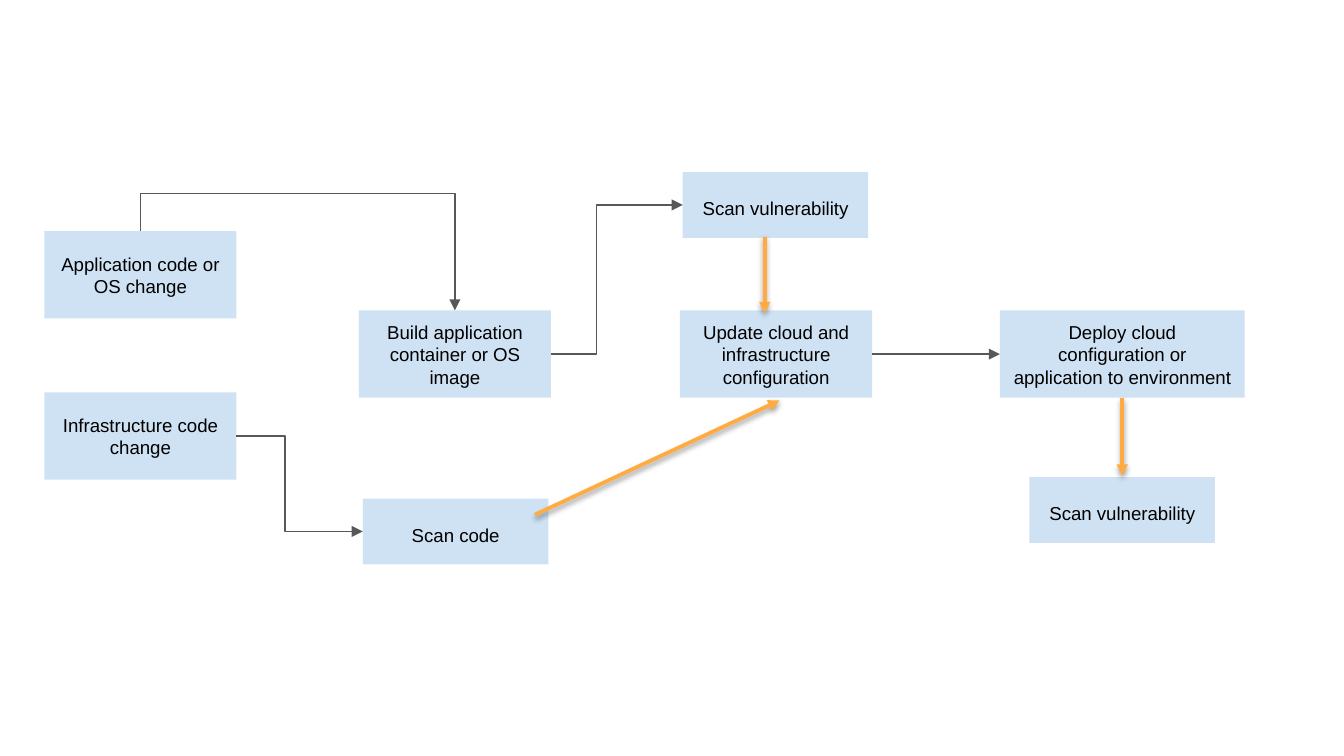
from lxml.etree import SubElement
from pptx import Presentation
from pptx.dml.color import RGBColor
from pptx.enum.shapes import MSO_CONNECTOR, MSO_SHAPE
from pptx.enum.text import MSO_ANCHOR, PP_ALIGN
from pptx.oxml.ns import qn
from pptx.util import Inches, Pt

BLUE = RGBColor(0xCF, 0xE2, 0xF3)
GRAY = RGBColor(0x58, 0x58, 0x58)
ORANGE = RGBColor(0xFF, 0xAB, 0x40)
BLACK = RGBColor(0, 0, 0)

# Content: step -> text, left, top, width, height (inches)
STEP = (1.43, 0.65)
SCAN = (1.38, 0.49)
ROW = 2.31
STEPS = {
    "build": ("Build application container or OS image", 2.67, ROW, *STEP),
    "deploy": ("Deploy cloud configuration or application to environment",
               7.44, ROW, 1.82, STEP[1]),
    "update": ("Update cloud and infrastructure configuration", 5.06, ROW, *STEP),
    "application": ("Application code or OS change", 0.33, 1.72, *STEP),
    "infrastructure": ("Infrastructure code change", 0.33, 2.92, *STEP),
    "scan code": ("Scan code", 2.7, 3.71, *SCAN),
    "scan image": ("Scan vulnerability", 5.08, 1.28, *SCAN),
    "scan deployed": ("Scan vulnerability", 7.66, 3.55, *SCAN),
}
# Sideways elbows: start, end, x of the bend
ELBOWS = [("infrastructure", "scan code", 2.12), ("build", "scan image", 4.44)]
ROOF = 1.44  # height of the arrow that goes over the top
SCAN_ARROWS = [
    ((5.69, 1.76), (5.69, 2.33)),
    ((3.98, 3.83), (5.8, 2.98)),
    ((8.35, 2.96), (8.35, 3.54)),
]


def side(name, across, down):
    """Point of a step's box, as shares of its width and height."""
    _, left, top, width, height = STEPS[name]
    return left + across * width, top + down * height


def add_step(page, text, left, top, width, height):
    box = page.shapes.add_shape(MSO_SHAPE.RECTANGLE, *map(Inches, (left, top, width, height)))
    box.shadow.inherit = False
    box.fill.solid()
    box.fill.fore_color.rgb = BLUE
    box.line.fill.background()
    frame = box.text_frame
    frame.word_wrap = True
    frame.vertical_anchor = MSO_ANCHOR.MIDDLE
    frame.margin_left = frame.margin_right = frame.margin_bottom = Inches(0.1)
    # Scan labels sit slightly below the middle
    frame.margin_top = Inches(0.15 if height == SCAN[1] else 0.1)
    para = frame.paragraphs[0]
    para.alignment = PP_ALIGN.CENTER
    span = para.add_run()
    span.text = text
    span.font.name = "Arial"
    span.font.size = Pt(10)
    span.font.color.rgb = BLACK


def style_arrow(arrow, color, weight):
    arrow.line.color.rgb = color
    arrow.line.width = Pt(weight)
    SubElement(arrow.line._get_or_add_ln(), qn("a:tailEnd"), type="triangle")


def add_elbow(page, points):
    first, *others = [(Inches(x), Inches(y)) for x, y in points]
    builder = page.shapes.build_freeform(*first)
    builder.add_line_segments(others, close=False)
    arrow = builder.convert_to_shape()
    arrow.shadow.inherit = False
    arrow.fill.background()
    style_arrow(arrow, GRAY, 0.75)


def add_arrow(page, start, end, color, weight, shadow=False):
    arrow = page.shapes.add_connector(MSO_CONNECTOR.STRAIGHT, *map(Inches, (*start, *end)))
    style_arrow(arrow, color, weight)
    effects = SubElement(arrow._element.spPr, qn("a:effectLst"))
    if shadow:
        outer = SubElement(effects, qn("a:outerShdw"), blurRad=str(Pt(3)),
                           dist=str(Pt(1.6)), dir="5400000", rotWithShape="0")
        tint = SubElement(outer, qn("a:srgbClr"), val=str(BLACK))
        SubElement(tint, qn("a:alpha"), val="38000")


deck = Presentation()
deck.slide_width = Inches(10)
deck.slide_height = deck.slide_width * 9 // 16
page = deck.slides.add_slide(deck.slide_layouts[6])

# Boxes
for step in STEPS.values():
    add_step(page, *step)

# Gray process flow
start, end = side("application", 0.5, 0), side("build", 0.5, 0)
add_elbow(page, [start, (start[0], ROOF), (end[0], ROOF), end])
for source, target, bend in ELBOWS:
    start, end = side(source, 1, 0.5), side(target, 0, 0.5)
    add_elbow(page, [start, (bend, start[1]), (bend, end[1]), end])
add_arrow(page, side("update", 1, 0.5), side("deploy", 0, 0.5), GRAY, 0.75)

# Orange scan arrows
for start, end in SCAN_ARROWS:
    add_arrow(page, start, end, ORANGE, 2, shadow=True)

deck.save("out.pptx")
